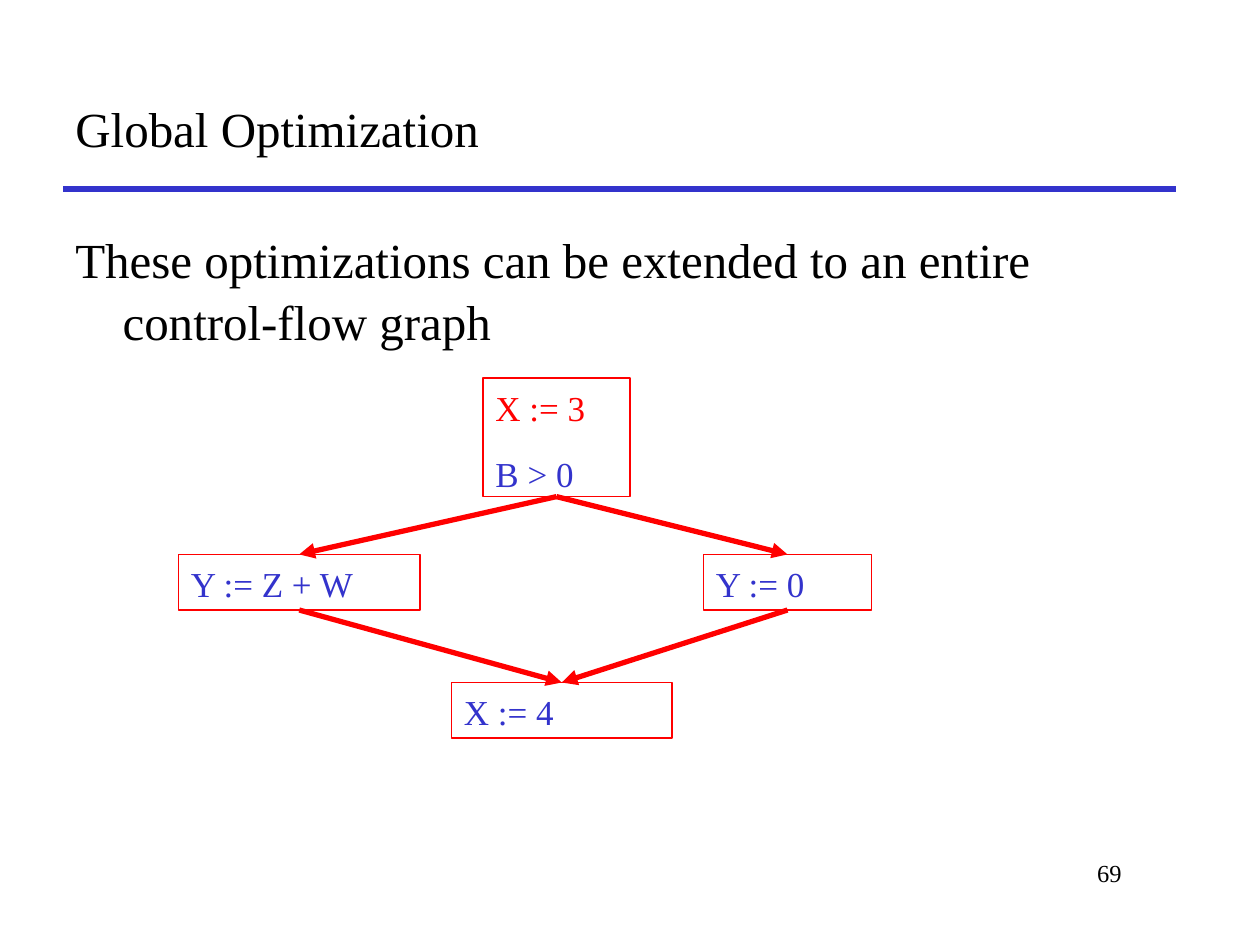
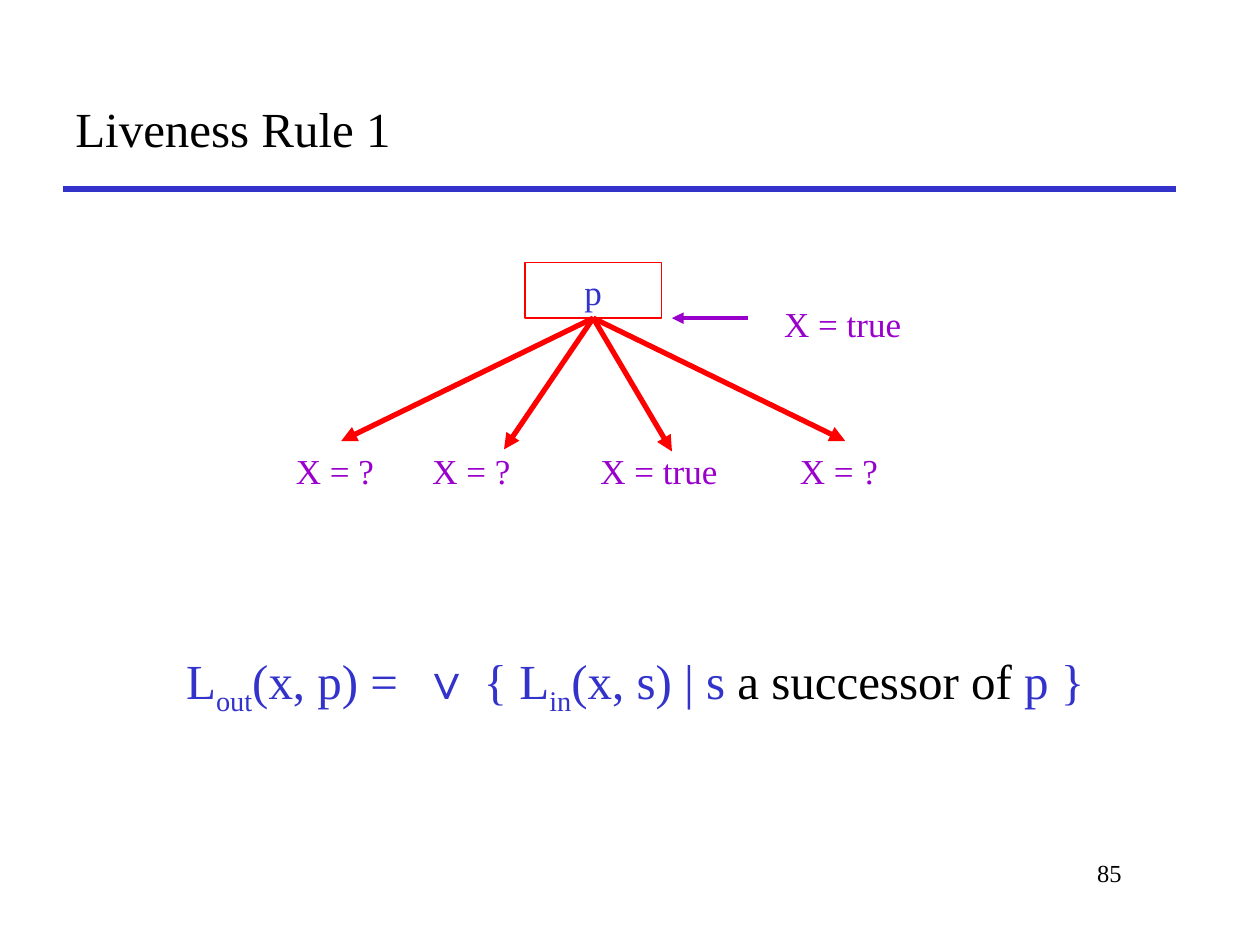
from dataclasses import dataclass
from typing import NamedTuple, Optional

from lxml import etree
from pptx import Presentation
from pptx import util as u
from pptx.dml.color import RGBColor
from pptx.enum import shapes, text
from pptx.oxml.ns import qn

WIDTH, HEIGHT = u.Inches(10), u.Inches(7.5)
COLUMNS, ROWS = 120, 90
BOX_ROWS = 5.3


@dataclass(frozen=True)
class Theme:
    """Colours, fonts, type sizes and line weights of the deck."""
    ink: str = "000000"
    blue: str = "3333CC"
    red: str = "FF0000"
    violet: str = "9900CC"
    serif: str = "Times New Roman"
    sans: str = "Arial"
    large: float = 28
    label: float = 20
    small: float = 14
    thick: float = 3
    medium: float = 2.25
    thin: float = 0.75
    leading: float = 1.05
    gap: float = 12.5


T = Theme()


class Run(NamedTuple):
    """A stretch of text in one style."""
    words: str
    color: str = T.ink
    font: str = T.serif
    subscript: bool = False
    tracking: float = 0


class Area(NamedTuple):
    """A rectangle in grid columns and rows."""
    col: float
    row: float
    cols: float
    rows: float = BOX_ROWS


class Point(NamedTuple):
    """A place in grid columns and rows."""
    col: float
    row: float


@dataclass(frozen=True)
class Block:
    """A text area whose paragraphs are tuples of runs."""
    area: Area
    paragraphs: tuple[tuple[Run, ...], ...]
    size: float = T.label
    align: text.PP_ALIGN = text.PP_ALIGN.LEFT
    anchor: text.MSO_ANCHOR = text.MSO_ANCHOR.TOP
    hanging: float = 0
    outline: Optional[str] = None


def x(col: float) -> int:
    """Turn columns into a length."""
    return round(WIDTH * col / COLUMNS)


def y(row: float) -> int:
    """Turn rows into a length."""
    return round(HEIGHT * row / ROWS)


def add_run(p, run: Run, size: float) -> None:
    """Append one styled run to a paragraph."""
    r = p.add_run()
    r.text = run.words
    r.font.name = run.font
    r.font.size = u.Pt(size)
    r.font.color.rgb = RGBColor.from_string(run.color)
    properties = r._r.get_or_add_rPr()
    if run.subscript:
        properties.set("baseline", "-25000")
    if run.tracking:
        properties.set("spc", str(round(run.tracking * 100)))


def add_block(s, block: Block):
    """Draw a text box, or a rectangle when the block has an outline."""
    a = block.area
    frame = x(a.col), y(a.row), x(a.cols), y(a.rows)
    if block.outline:
        sp = s.shapes.add_shape(shapes.MSO_SHAPE.RECTANGLE, *frame)
        sp.shadow.inherit = False
        sp.fill.background()
        sp.line.color.rgb = RGBColor.from_string(block.outline)
        sp.line.width = u.Pt(T.thin)
    else:
        sp = s.shapes.add_textbox(*frame)
    tf = sp.text_frame
    tf.word_wrap = True
    tf.vertical_anchor = block.anchor
    for i, runs in enumerate(block.paragraphs):
        p = tf.add_paragraph() if i else tf.paragraphs[0]
        p.alignment = block.align
        p.line_spacing = T.leading
        if i:
            p.space_before = u.Pt(T.gap)
        if block.hanging:
            indent = x(block.hanging)
            p._p.get_or_add_pPr().set("marL", str(indent))
            p._p.get_or_add_pPr().set("indent", str(-indent))
        for run in runs:
            add_run(p, run, block.size)
    return sp


def add_line(s, start: Point, end: Point, color: str, weight: float = T.thick,
             arrow: bool = True):
    """Draw a straight line, with an arrowhead at its end if wanted."""
    c = s.shapes.add_connector(shapes.MSO_CONNECTOR.STRAIGHT,
                               x(start.col), y(start.row), x(end.col), y(end.row))
    c.line.color.rgb = RGBColor.from_string(color)
    c.line.width = u.Pt(weight)
    if arrow:
        etree.SubElement(c.line._get_or_add_ln(), qn("a:tailEnd"), type="triangle")
    etree.SubElement(c._element.spPr, qn("a:effectLst"))
    return c


def add_edge(s, source, target) -> None:
    """Join the bottom of one box to the top of another."""
    c = add_line(s, Point(0, 0), Point(0, 0), T.red)
    c.begin_connect(source, 2)
    c.end_connect(target, 0)


def add_page(prs, title: str, number: int):
    """Add a slide with its title, rule and page number."""
    s = prs.slides.add_slide(prs.slide_layouts[6])
    add_line(s, Point(6, 18), Point(112, 18), T.blue, arrow=False)
    add_block(s, Block(Area(83, 81, 25, 6), ((Run(str(number)),),), T.small,
                       text.PP_ALIGN.RIGHT))
    add_block(s, Block(Area(6, 6, 106, 12), ((Run(title),),), T.large,
                       anchor=text.MSO_ANCHOR.MIDDLE))
    return s


def add_box(s, area: Area, *lines: Run, align=text.PP_ALIGN.LEFT):
    """Draw a red outlined node with one run to a line."""
    return add_block(s, Block(area, tuple((line,) for line in lines),
                              align=align, outline=T.red))


def build_global_optimization(prs) -> None:
    """Build the control-flow graph slide."""
    s = add_page(prs, "Global Optimization", 69)
    statement = "These optimizations can be extended to an entire control-flow graph"
    add_block(s, Block(Area(6, 21, 109, 58), ((Run(statement),),), T.large,
                       hanging=4.5))
    entry = add_box(s, Area(46, 36, 14, 11.3), Run("X := 3", T.red),
                    Run("B > 0", T.blue))
    branches = [add_box(s, Area(col, 52.8, cols), Run(words, T.blue))
                for col, cols, words in ((17, 23, "Y := Z + W"), (67, 16, "Y := 0"))]
    join = add_box(s, Area(43, 65, 21), Run("X := 4", T.blue))
    for branch in branches:
        add_edge(s, entry, branch)
    for branch in branches:
        add_edge(s, branch, join)


def build_liveness_rule(prs) -> None:
    """Build the liveness rule slide."""
    s = add_page(prs, "Liveness Rule 1", 85)
    formula = (
        Run("L", T.blue), Run("out", T.blue, subscript=True),
        Run("(x, p) =", T.blue), Run(" ", T.blue, tracking=7),
        Run("∨", T.blue, T.sans), Run(" { L", T.blue),
        Run("in", T.blue, subscript=True), Run("(x, s) | s ", T.blue),
        Run("a successor of"), Run(" p }", T.blue),
    )
    add_block(s, Block(Area(6, 61, 109, 18), (formula,), T.large,
                       text.PP_ALIGN.CENTER))
    node = add_box(s, Area(50, 25, 13), Run("p", T.blue), align=text.PP_ALIGN.CENTER)
    for tip in (Point(32.5, 42), Point(48, 42.8), Point(80.5, 42), Point(64, 43)):
        add_line(s, Point(56.5, 30.3), tip, T.red).begin_connect(node, 2)
    add_line(s, Point(71.2, 30.3), Point(64, 30.3), T.violet, T.medium)
    for area, words in (
        (Area(73.5, 28, 17.5), "X = true"),
        (Area(27, 42, 11), "X = ?"),
        (Area(40, 42, 11), "X = ?"),
        (Area(56, 42, 18), "X = true"),
        (Area(75, 42, 11), "X = ?"),
    ):
        add_block(s, Block(area, ((Run(words, T.violet),),)))


def main() -> None:
    """Build and save the deck."""
    prs = Presentation()
    prs.slide_width, prs.slide_height = WIDTH, HEIGHT
    build_global_optimization(prs)
    build_liveness_rule(prs)
    prs.save("out.pptx")


if __name__ == "__main__":
    main()
